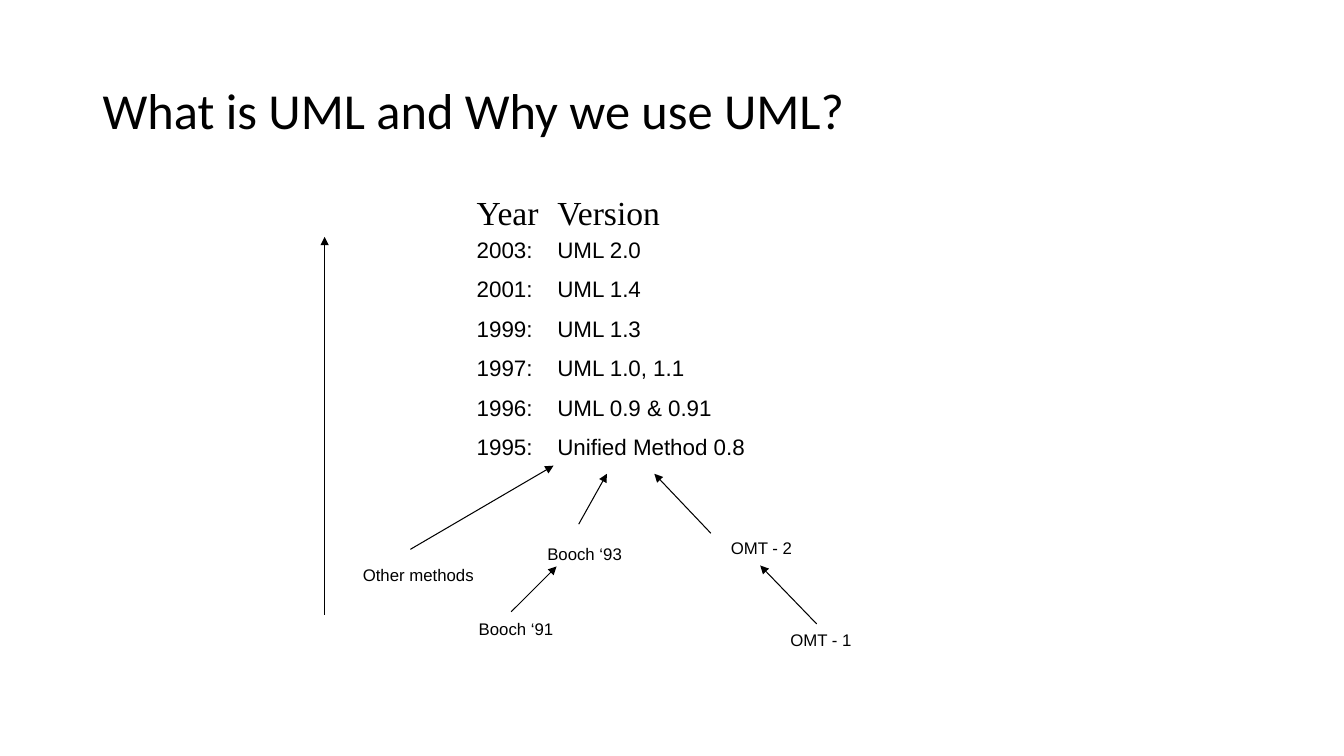
from pptx import Presentation
from pptx.dml.color import RGBColor
from pptx.enum import shapes, text
from pptx.oxml.ns import qn
from pptx.util import Inches, Pt
from lxml import etree

BLACK = RGBColor(0x00, 0x00, 0x00)
VERSION_TAB = Inches(0.8)

VERSIONS = [
    ("2003:", "UML 2.0"),
    ("2001:", "UML 1.4"),
    ("1999:", "UML 1.3"),
    ("1997:", "UML 1.0, 1.1"),
    ("1996:", "UML 0.9 & 0.91"),
    ("1995:", "Unified Method 0.8"),
]
METHODS = [
    ("Other methods", 3.5, 5.55, 1.3),
    ("Booch ‘91", 4.65, 6.09, 0.94),
    ("Booch ‘93", 5.33, 5.35, 0.94),
    ("OMT - 2", 7.15, 5.29, 0.81),
    ("OMT - 1", 7.74, 6.2, 0.81),
]
ARROWS = [
    (4.07, 5.45, 5.49, 4.62),
    (5.07, 6.07, 5.52, 5.62),
    (5.74, 5.2, 6.02, 4.7),
    (8.1, 6.19, 7.54, 5.61),
    (7.05, 5.29, 6.49, 4.7),
    (3.22, 6.1, 3.22, 2.35),
]


def add_text(slide, lines, left, top, width, height, font, size,
             wrap=True, anchor=text.MSO_ANCHOR.TOP):
    box = slide.shapes.add_textbox(Inches(left), Inches(top), Inches(width), Inches(height))
    frame = box.text_frame
    frame.word_wrap = wrap
    frame.vertical_anchor = anchor
    frame.text = "\n".join(lines)
    for paragraph in frame.paragraphs:
        paragraph.font.name = font
        paragraph.font.size = Pt(size)
        paragraph.font.color.rgb = BLACK
    return frame


def add_version_tab(paragraph):
    properties = paragraph.font._element.getparent()
    tabs = etree.Element(qn("a:tabLst"))
    etree.SubElement(tabs, qn("a:tab"), pos=str(VERSION_TAB), algn="l")
    properties.insert(properties.index(paragraph.font._element), tabs)


def add_year_rows(slide, rows, top, height, font, size):
    lines = ["\t".join(row) for row in rows]
    frame = add_text(slide, lines, 4.63, top, 4.6, height, font, size)
    for paragraph in frame.paragraphs:
        add_version_tab(paragraph)
    for paragraph in frame.paragraphs[1:]:
        paragraph.space_before = Pt(9)


def add_arrow(slide, x1, y1, x2, y2):
    arrow = slide.shapes.add_connector(
        shapes.MSO_CONNECTOR.STRAIGHT, Inches(x1), Inches(y1), Inches(x2), Inches(y2))
    arrow.line.color.rgb = BLACK
    arrow.line.width = Pt(0.75)
    etree.SubElement(arrow.line._get_or_add_ln(), qn("a:tailEnd"), type="triangle")
    etree.SubElement(arrow._element.spPr, qn("a:effectLst"))


def main():
    deck = Presentation()
    deck.slide_width, deck.slide_height = Inches(13.33), Inches(7.5)
    slide = deck.slides.add_slide(deck.slide_layouts[6])

    title = add_text(slide, ["What is UML and Why we use UML?"], 0.92, 0.4, 11.5, 1.45,
                     "Calibri", 36, anchor=text.MSO_ANCHOR.MIDDLE)
    title.paragraphs[0].line_spacing = 0.9

    add_year_rows(slide, [("Year", "Version")], 1.85, 0.5, "Times New Roman", 24)
    add_year_rows(slide, VERSIONS, 2.29, 2.31, "Arial", 16)
    for name, left, top, width in METHODS:
        add_text(slide, [name], left, top, width, 0.3, "Arial", 12, wrap=False)
    for ends in ARROWS:
        add_arrow(slide, *ends)

    deck.save("out.pptx")


if __name__ == "__main__":
    main()
